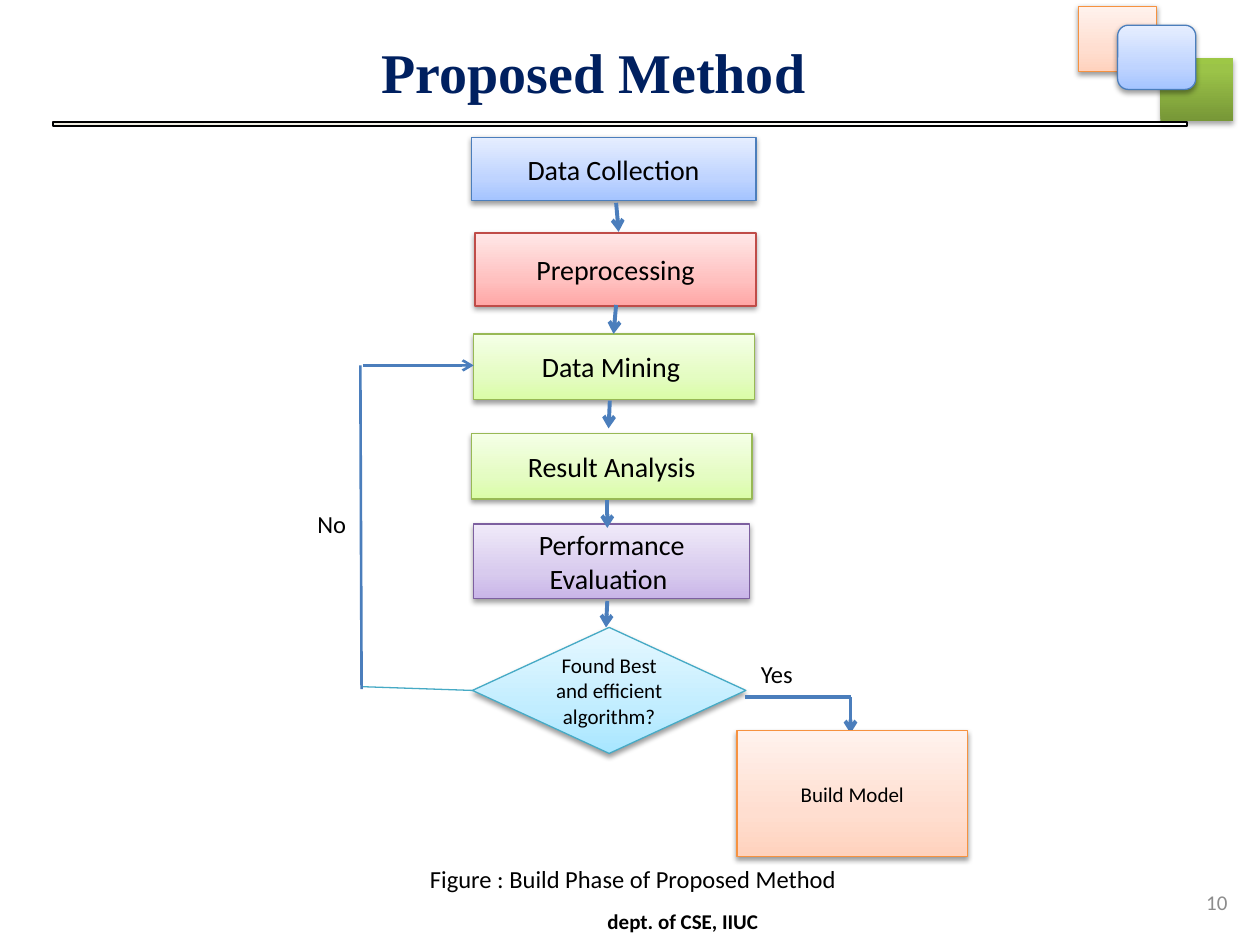
"""Build the flow chart slide for the proposed method."""
from lxml import etree
from copy import deepcopy
from pptx import Presentation
from pptx import util as u
from pptx.dml.color import RGBColor
from pptx.enum import shapes, text
from pptx.oxml.ns import qn

COLOURS = {"black": "000000", "navy": "002060", "grey": "8C8C8C",
           "blue": "4B7EBC", "red": "BF4C48", "green": "98B955",
           "purple": "7D60A0", "teal": "46AAC5", "orange": "F69240"}
GRADIENTS = {
    "blue": {0: "A4C4FF", 0.35: "BFD4FF", 1: "E6EEFF"},
    "red": {0: "FFA6A5", 0.35: "FFC0BF", 1: "FFE7E7"},
    "green": {0: "DAFDA7", 0.35: "E4FCC2", 1: "F5FFE7"},
    "purple": {0: "C9B5E8", 0.35: "D8CBEE", 1: "F0EAF9"},
    "teal": {0: "A7E6FF", 0.35: "C1EDFF", 1: "E7F8FF"},
    "orange": {0: "FFD2BD", 0.35: "FFDED0", 1: "FFF2ED"},
    "leaf": {0: "779737", 0.8: "9BC348", 1: "9DC746"},
    "cream": {0: "EEECE1", 1: "FFFFFF"},
}
Shape = shapes.MSO_SHAPE


class FlowSlide:
    """Hold the style and the current page, and draw each kind of element."""

    def __init__(self, page, font="Calibri"):
        self.page = page
        self.font = font

    def set_words(self, box, words, size, colour="black", align="CENTER",
                  anchor="MIDDLE", bold=False, font=None):
        frame = box.text_frame
        frame.vertical_anchor = text.MSO_ANCHOR[anchor]
        para = frame.paragraphs[0]
        para.text = words
        para.alignment = text.PP_ALIGN[align]
        para.font.name = font or self.font
        para.font.size = u.Pt(size)
        para.font.bold = bold
        para.font.color.rgb = RGBColor.from_string(COLOURS[colour])

    def label(self, place, words, size, wrap=False, **style):
        box = self.page.shapes.add_textbox(*map(u.Inches, place))
        box.text_frame.word_wrap = wrap
        self.set_words(box, words, size, **style)

    def paint(self, box, gradient, angle):
        stops = GRADIENTS[gradient]
        box.fill.gradient()
        box.fill.gradient_angle = angle
        stop_list = box._element.spPr.find(".//" + qn("a:gsLst"))
        for _ in range(len(stops) - 2):
            stop_list.append(deepcopy(stop_list[0]))
        for stop, (position, colour) in zip(box.fill.gradient_stops, stops.items()):
            stop.position = position
            stop.color.rgb = RGBColor.from_string(colour)

    def shade(self, box, opacity=38, distance=1.6):
        effects = box._element.spPr.find(qn("a:effectLst"))
        shadow = etree.SubElement(
            effects, qn("a:outerShdw"), blurRad=str(u.Pt(3.1)),
            dist=str(u.Pt(distance)), dir="5400000", rotWithShape="0")
        colour = etree.SubElement(shadow, qn("a:srgbClr"), val=COLOURS["black"])
        etree.SubElement(colour, qn("a:alpha"), val=str(opacity * 1000))

    def block(self, place, gradient, words="", size=16, kind=Shape.RECTANGLE,
              line=None, width=0.75, angle=90, shadow=(38, 1.6)):
        box = self.page.shapes.add_shape(kind, *map(u.Inches, place))
        box.shadow.inherit = False
        self.paint(box, gradient, angle)
        line = line or COLOURS.get(gradient)
        if line:
            box.line.color.rgb = RGBColor.from_string(line)
            box.line.width = u.Pt(width)
        else:
            box.line.fill.background()
        if shadow:
            self.shade(box, *shadow)
        if words:
            self.set_words(box, words, size)

    def link(self, start, end, width=2.25, colour="blue", arrow=True):
        connector = self.page.shapes.add_connector(
            shapes.MSO_CONNECTOR.STRAIGHT, *map(u.Inches, start + end))
        connector.line.color.rgb = RGBColor.from_string(COLOURS[colour])
        connector.line.width = u.Pt(width)
        properties = connector._element.spPr
        if arrow:
            etree.SubElement(properties.find(qn("a:ln")), qn("a:tailEnd"), type="arrow")
        etree.SubElement(properties, qn("a:effectLst"))


def main():
    deck = Presentation()
    deck.slide_width, deck.slide_height = u.Inches(10), u.Inches(7.5)
    slide = FlowSlide(deck.slides.add_slide(deck.slide_layouts[6]))

    slide.block((9.21, 0.46, 0.58, 0.5), "leaf", shadow=(35, 1.8))
    slide.block((0.42, 0.97, 9, 0.03), "cream", line=COLOURS["black"],
                width=1.5, angle=0, shadow=None)
    slide.block((8.56, 0.05, 0.62, 0.52), "orange")
    slide.block((8.87, 0.2, 0.62, 0.51), "blue", kind=Shape.ROUNDED_RECTANGLE)
    slide.label((2.93, 0.25, 3.82, 0.64), "Proposed Method", 32, colour="navy",
                align="LEFT", anchor="TOP", bold=True, font="Times New Roman")

    steps = [
        ((3.74, 1.09, 2.26, 0.5), "blue", "Data Collection"),
        ((3.77, 1.85, 2.23, 0.58), "red", "Preprocessing"),
        ((3.76, 2.65, 2.23, 0.52), "green", "Data Mining "),
        ((3.74, 3.44, 2.23, 0.52), "green", "Result Analysis"),
        ((3.76, 4.16, 2.19, 0.59), "purple", "Performance Evaluation "),
    ]
    for step in steps:
        slide.block(*step)
    slide.block((3.75, 4.98, 2.17, 1), "teal", "Found Best and efficient algorithm?",
                12, Shape.DIAMOND)

    step_arrows = [
        ((4.89, 1.61), (4.91, 1.84)),
        ((4.89, 2.42), (4.87, 2.65)),
        ((4.84, 3.18), (4.83, 3.4)),
        ((4.82, 3.97), (4.82, 4.19)),
        ((4.82, 4.77), (4.81, 4.98)),
    ]
    for start, end in step_arrows:
        slide.link(start, end)

    slide.link((3.76, 5.48), (2.88, 5.45), 0.75, "teal", arrow=False)
    slide.link((2.86, 2.9), (2.87, 5.47), 1.5, arrow=False)
    slide.link((2.88, 2.9), (3.76, 2.9), 1.5)
    slide.link((6.75, 5.53), (5.91, 5.53), arrow=False)
    slide.link((6.75, 5.53), (6.75, 5.82))
    slide.block((5.85, 5.8, 1.83, 1), "orange", "Build Model", 12)

    for place, answer in (((2.42, 3.99, 0.43, 0.34), "No"),
                          ((5.94, 5.18, 0.46, 0.34), "Yes")):
        slide.label(place, answer, 14, align="LEFT", anchor="TOP")
    slide.label((3.3, 6.81, 3.45, 0.34), "Figure : Build Phase of Proposed Method",
                14, anchor="TOP")
    slide.label((3.92, 7.11, 3, 0.4), "dept. of CSE, IIUC", 12, wrap=True, bold=True)
    slide.label((9.17, 6.92, 0.67, 0.48), "10", 12, wrap=True, colour="grey",
                align="RIGHT")
    deck.save("out.pptx")


if __name__ == "__main__":
    main()
